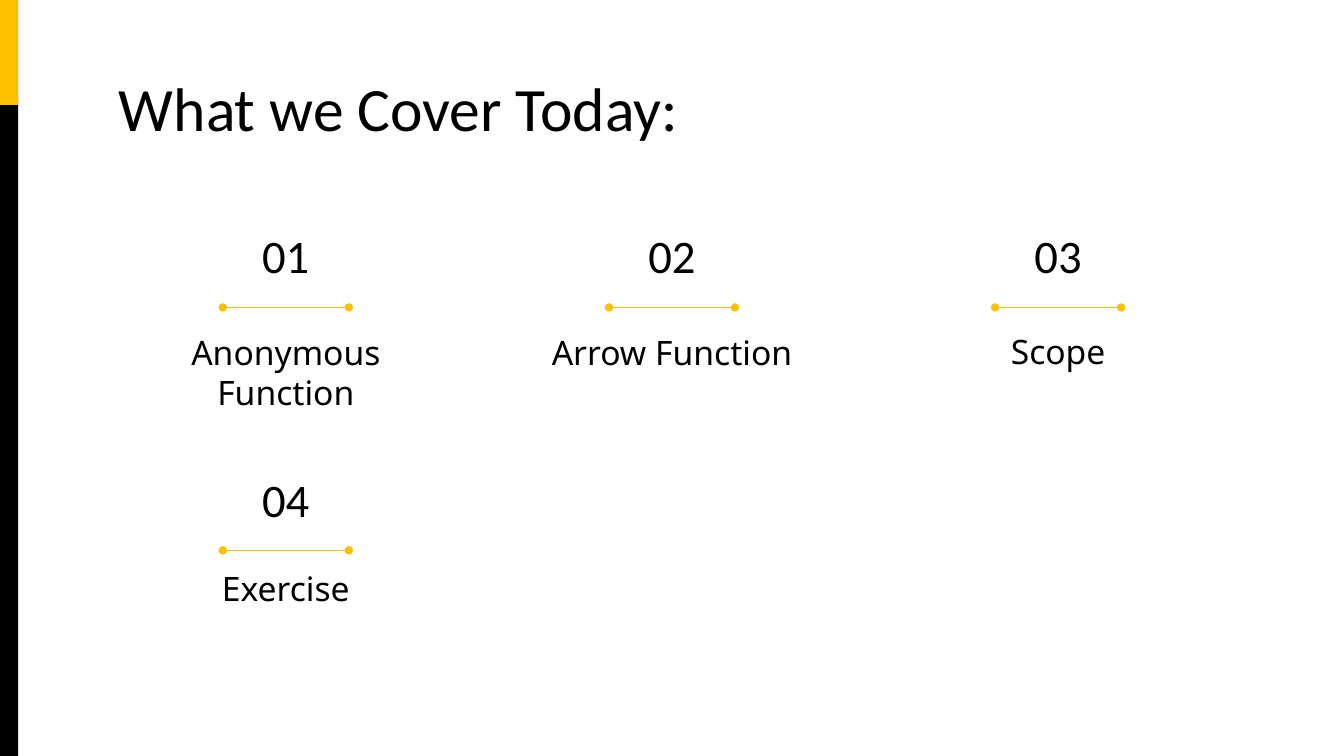
from lxml.etree import SubElement
from pptx import Presentation
from pptx.dml.color import RGBColor
from pptx.enum.shapes import MSO_CONNECTOR, MSO_SHAPE
from pptx.enum.text import MSO_ANCHOR, PP_ALIGN
from pptx.oxml.ns import qn
from pptx.util import Inches, Pt

COLORS = {"ink": "000000", "gold": "FFC000"}
TITLE = "What we Cover Today:"
# label, top of label box
TOPICS = [
    ("Anonymous Function", 3.16),
    ("Arrow Function", 3.16),
    ("Scope", 3.15),
    ("Exercise", 5.5),
]
# top of number box, height of rule
ROWS = [(2.03, 3.05), (4.45, 5.46)]
BARS = [("ink", 0.95, 6.55), ("gold", 0, 1.04)]
COLS = 3
LEFT, STEP = 1.05, 3.83
LABEL, NUMBER, RULE = 3.57, 1.14, 1.25

deck = Presentation()
deck.slide_width, deck.slide_height = Inches(13.33), Inches(7.5)
slide = deck.slides.add_slide(deck.slide_layouts[6])
shapes = slide.shapes


def paint(name):
    return RGBColor.from_string(COLORS[name])


def add_text(text, x, y, w, h, size, font="Calibri", align=PP_ALIGN.CENTER,
             anchor=MSO_ANCHOR.TOP, spacing=None):
    frame = shapes.add_textbox(Inches(x), Inches(y), Inches(w), Inches(h)).text_frame
    frame.word_wrap = True
    frame.vertical_anchor = anchor
    frame.margin_left = frame.margin_right = Inches(0.13)
    frame.margin_top = frame.margin_bottom = Inches(0.13)
    para = frame.paragraphs[0]
    para.alignment = align
    para.line_spacing = spacing
    run = para.add_run()
    run.text = text
    run.font.name = font
    run.font.size = Pt(size)
    run.font.color.rgb = paint("ink")


def add_rule(x, y, w):
    """Draw a thin horizontal line with a dot at each end."""
    rule = shapes.add_connector(MSO_CONNECTOR.STRAIGHT, Inches(x), Inches(y),
                                Inches(x + w), Inches(y))
    rule.line.color.rgb = paint("gold")
    rule.line.width = Pt(0.75)
    line = rule.line._get_or_add_ln()
    for end in ("a:headEnd", "a:tailEnd"):
        SubElement(line, qn(end), type="oval")
    SubElement(rule._element.spPr, qn("a:effectLst"))


for color, top, height in BARS:
    bar = shapes.add_shape(MSO_SHAPE.RECTANGLE, 0, Inches(top), Inches(0.18), Inches(height))
    bar.shadow.inherit = False
    bar.fill.solid()
    bar.fill.fore_color.rgb = paint(color)
    bar.line.fill.background()

add_text(TITLE, LEFT, 0.65, 11.23, 0.84, 44, align=PP_ALIGN.LEFT, spacing=0.9)

for i, (label, top) in enumerate(TOPICS):
    row, col = divmod(i, COLS)
    x = LEFT + col * STEP
    mid = x + LABEL / 2
    head, level = ROWS[row]
    add_text(f"{i + 1:02}", mid - NUMBER / 2, head, NUMBER, 0.91, 33.3,
             anchor=MSO_ANCHOR.BOTTOM, spacing=0.9)
    add_rule(mid - RULE / 2, level, RULE)
    add_text(label, x, top, LABEL, 0.65, 24, font="Noto Sans")

deck.save("out.pptx")
